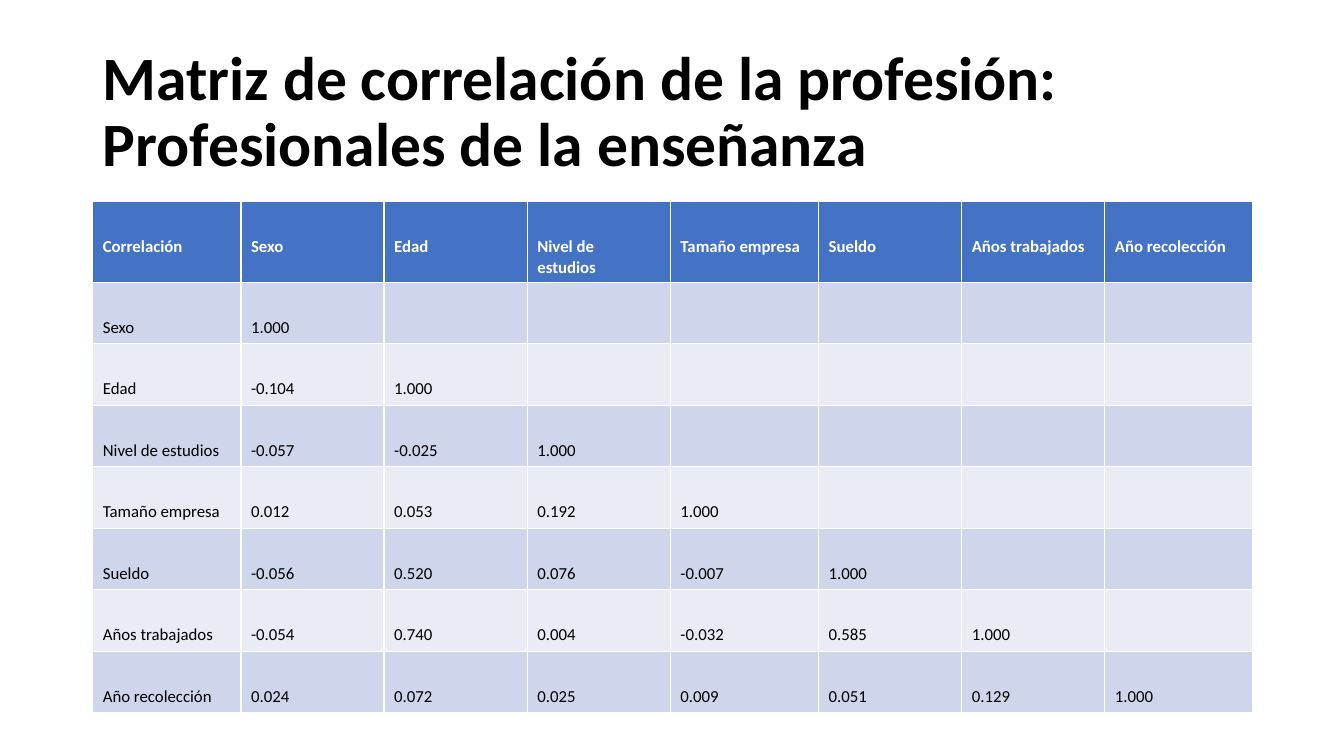
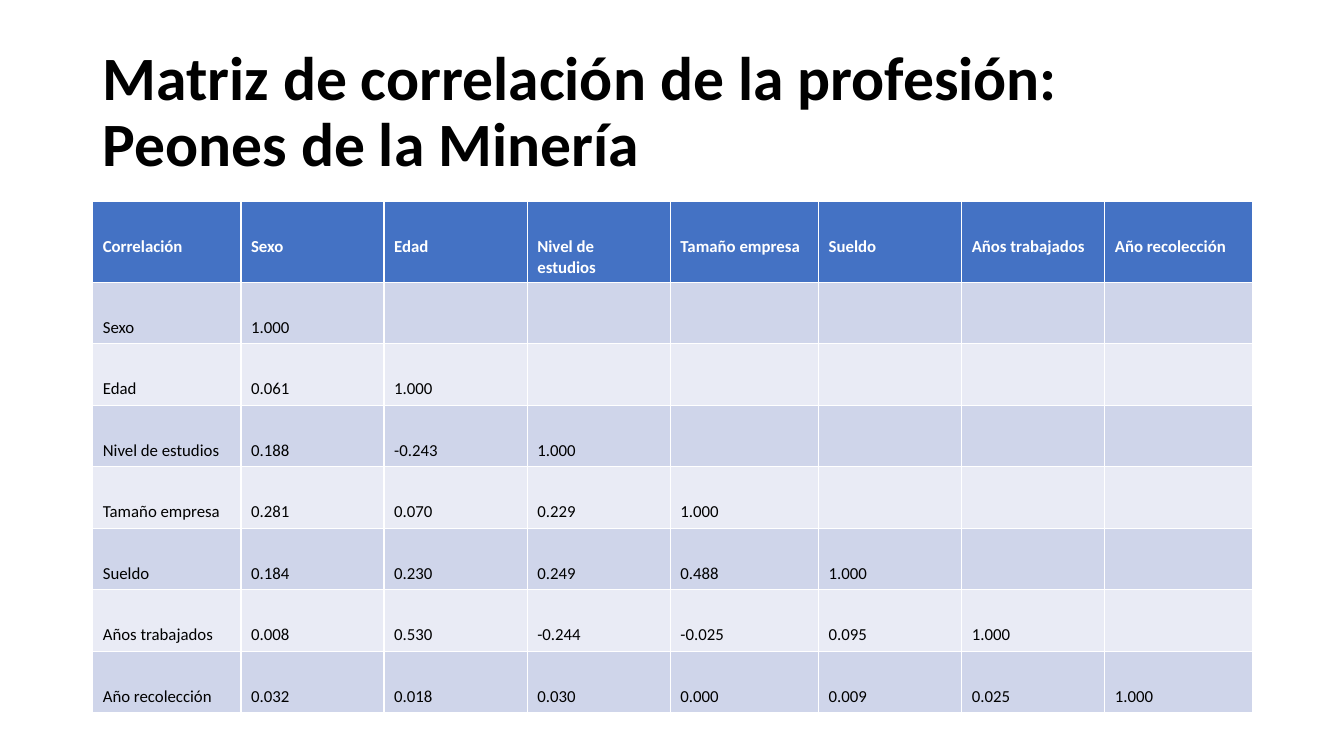
from pptx import Presentation
from pptx.util import Inches, Pt
from pptx.dml.color import RGBColor as RGB
from pptx.enum.text import MSO_ANCHOR as Anchor

# Shared look
HEX = {"head": "4472C4", "odd": "CFD5EA", "even": "E9EBF5",
       "dark": "000000", "light": "FFFFFF"}
FONT = {
    "title": {"name": "Calibri", "size": Pt(44), "bold": True},
    "head": {"name": "Calibri", "size": Pt(12), "bold": True},
    "body": {"name": "Calibri", "size": Pt(12), "bold": False},
}
LEFT, WIDTH = Inches(0.92), Inches(11.5)
WIDE, SLIM = Inches(1.47), Inches(1.42)
COLS = [WIDE, SLIM, SLIM, SLIM, WIDE, SLIM, SLIM, WIDE]
HEAD, ROW = Inches(0.8), Inches(0.61)

# Contents: each matrix lists the values below its diagonal
NAMES = ["Sexo", "Edad", "Nivel de estudios", "Tamaño empresa",
         "Sueldo", "Años trabajados", "Año recolección"]
JOBS = {
    "Profesionales de la enseñanza": [
        [],
        [-0.104],
        [-0.057, -0.025],
        [0.012, 0.053, 0.192],
        [-0.056, 0.520, 0.076, -0.007],
        [-0.054, 0.740, 0.004, -0.032, 0.585],
        [0.024, 0.072, 0.025, 0.009, 0.051, 0.129],
    ],
    "Peones de la Minería": [
        [],
        [0.061],
        [0.188, -0.243],
        [0.281, 0.070, 0.229],
        [0.184, 0.230, 0.249, 0.488],
        [0.008, 0.530, -0.244, -0.025, 0.095],
        [0.032, 0.018, 0.030, 0.000, 0.009, 0.025],
    ],
}


def write(frame, text, kind, color):
    par = frame.paragraphs[0]
    run = par.add_run()
    run.text = text
    for key, val in FONT[kind].items():
        setattr(run.font, key, val)
    run.font.color.rgb = RGB.from_string(HEX[color])
    return par


prs = Presentation()
prs.slide_width, prs.slide_height = Inches(13.33), Inches(7.5)

for job, matrix in JOBS.items():
    slide = prs.slides.add_slide(prs.slide_layouts[6])

    # Title
    box = slide.shapes.add_textbox(LEFT, Inches(0.4), WIDTH, Inches(1.45))
    frame = box.text_frame
    frame.word_wrap = True
    frame.vertical_anchor = Anchor.MIDDLE
    text = f"Matriz de correlación de la profesión: {job}"
    write(frame, text, "title", "dark").line_spacing = 0.9

    # Correlation table
    rows = [["Correlación"] + NAMES]
    for name, vals in zip(NAMES, matrix):
        rows.append([name] + [f"{val:.3f}" for val in vals + [1]])
    size = len(COLS)
    table = slide.shapes.add_table(len(rows), size, LEFT, Inches(2),
                                   WIDTH, HEAD + ROW * len(NAMES)).table
    for col, width in zip(table.columns, COLS):
        col.width = width
    for r, texts in enumerate(rows):
        table.rows[r].height = ROW if r else HEAD
        kind, color = ("body", "dark") if r else ("head", "light")
        fill = ("odd" if r % 2 else "even") if r else "head"
        for c in range(size):
            cell = table.cell(r, c)
            cell.fill.solid()
            cell.fill.fore_color.rgb = RGB.from_string(HEX[fill])
            if c < len(texts):
                cell.margin_top = Inches(0.35)
                if r == 0:
                    cell.margin_right = Inches(0.16)
                write(cell.text_frame, texts[c], kind, color)

prs.save("out.pptx")
